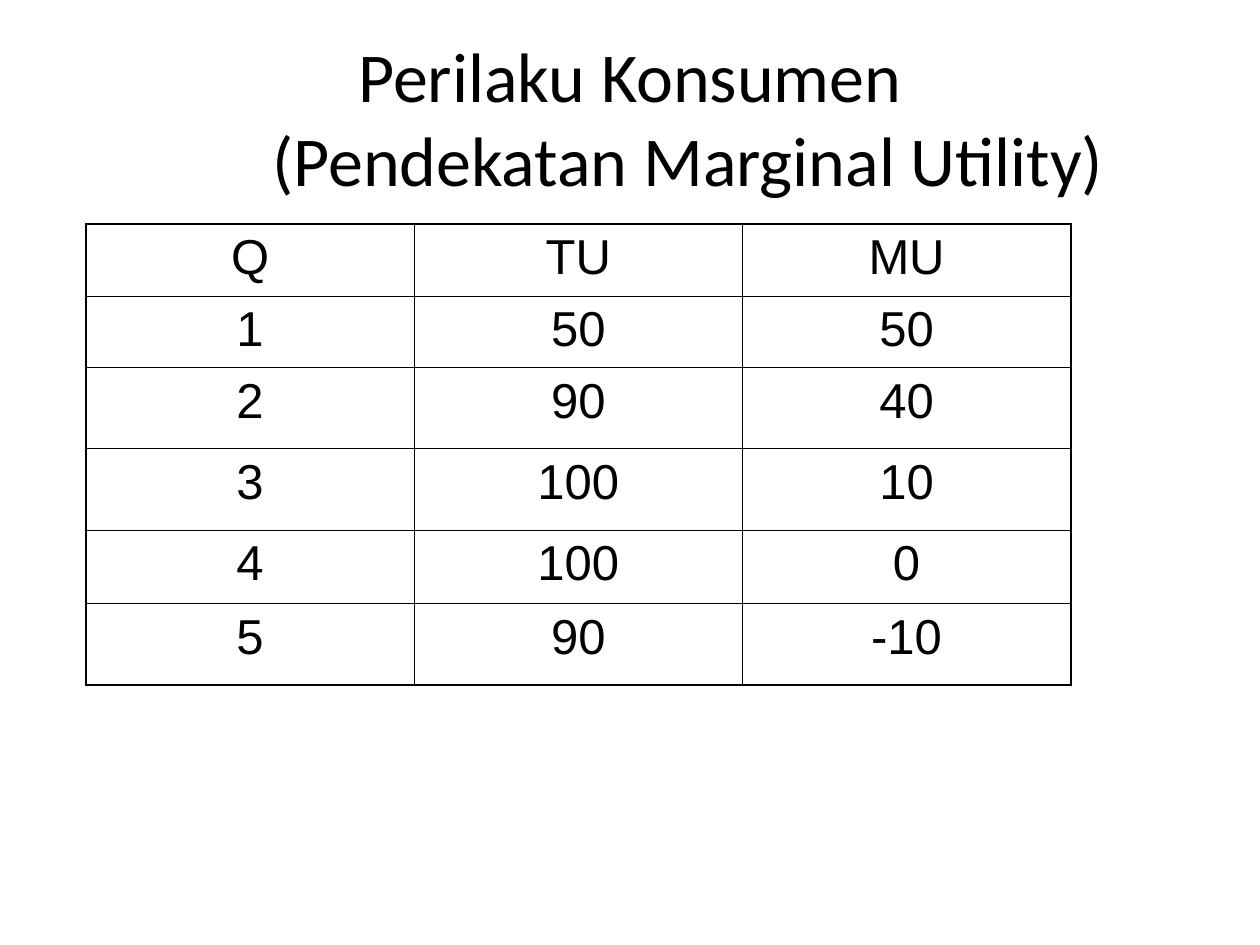
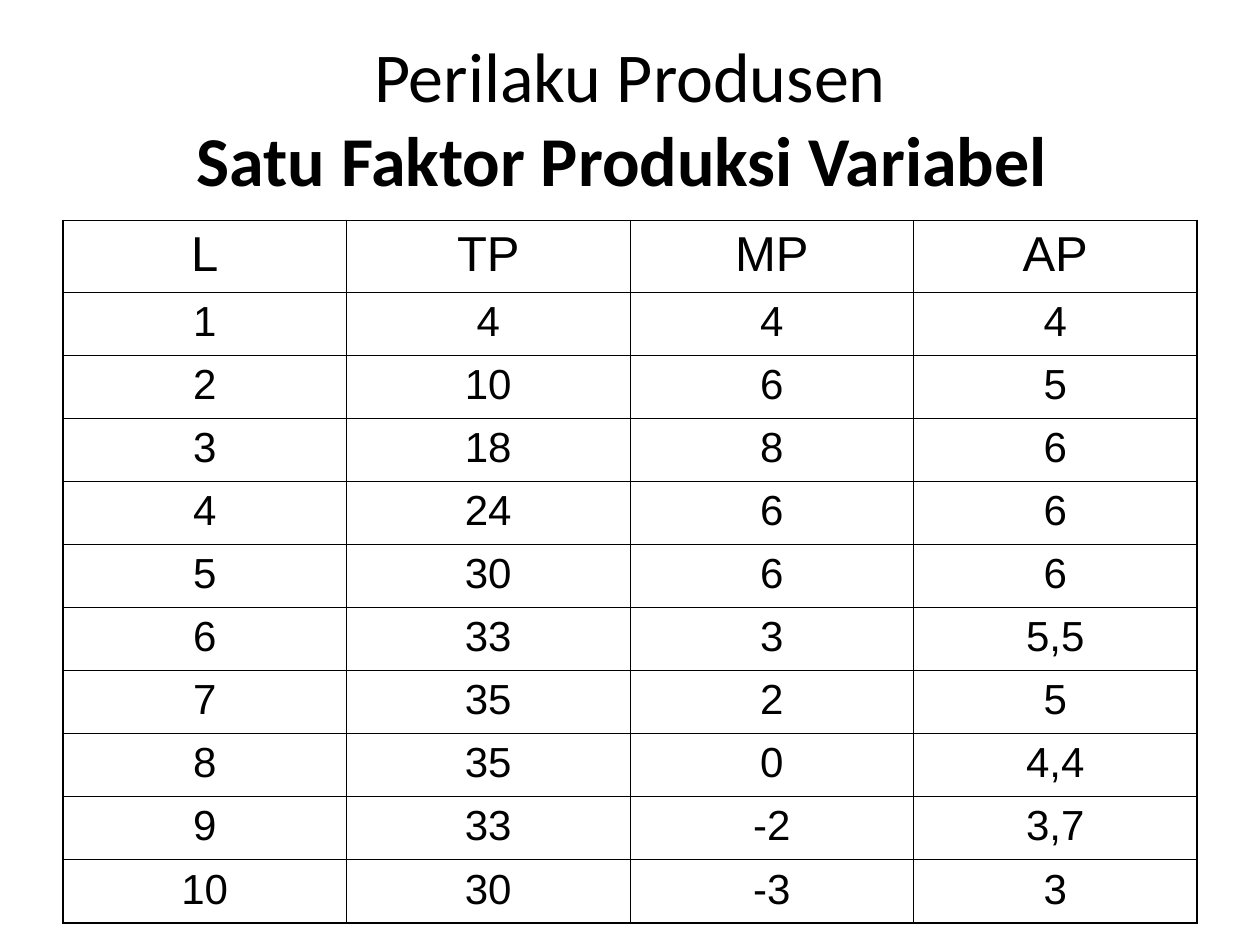
from lxml import etree
from pptx import Presentation
from pptx.dml.color import RGBColor
from pptx.enum import text
from pptx.oxml import ns
from pptx.util import Inches, Pt

BLACK = RGBColor(0x00, 0x00, 0x00)
THIN, THICK = 1.08 - 0.63, 1.08

SLIDES = [
    {
        "title": ("Perilaku Konsumen", "(Pendekatan Marginal Utility)"),
        "bold": False,
        "hanging": 0.92,
        "left": 0.68,
        "top": 1.78,
        "cols": [2.61, 2.6, 2.61],
        "heights": [0.57, 0.57, 0.64, 0.65, 0.58, 0.65],
        "body_size": 28,
        "rows": [
            ("Q", "TU", "MU"),
            ("1", "50", "50"),
            ("2", "90", "40"),
            ("3", "100", "10"),
            ("4", "100", "0"),
            ("5", "90", "-10"),
        ],
    },
    {
        "title": ("Perilaku Produsen", "Satu Faktor Produksi Variabel "),
        "bold": True,
        "hanging": 0,
        "left": 0.5,
        "top": 1.75,
        "cols": [2.25] * 4,
        "heights": [0.57] + [0.5] * 10,
        "body_size": 24,
        "rows": [
            ("L", "TP", "MP", "AP"),
            ("1", "4", "4", "4"),
            ("2", "10", "6", "5"),
            ("3", "18", "8", "6"),
            ("4", "24", "6", "6"),
            ("5", "30", "6", "6"),
            ("6", "33", "3", "5,5"),
            ("7", "35", "2", "5"),
            ("8", "35", "0", "4,4"),
            ("9", "33", "-2", "3,7"),
            ("10", "30", "-3", "3"),
        ],
    },
]


def style(p, font, size):
    p.alignment = text.PP_ALIGN.CENTER
    p.font.name = font
    p.font.size = Pt(size)
    p.font.color.rgb = BLACK


def add_border(cell, side, width):
    tc_pr = cell._tc.get_or_add_tcPr()
    ln = etree.SubElement(tc_pr, ns.qn("a:ln" + side), w=str(Pt(width)))
    fill = etree.SubElement(ln, ns.qn("a:solidFill"))
    etree.SubElement(fill, ns.qn("a:srgbClr"), val=str(BLACK))


prs = Presentation()
prs.slide_width, prs.slide_height = Inches(10), Inches(7.5)

for data in SLIDES:
    s = prs.slides.add_slide(prs.slide_layouts[6])

    tf = s.shapes.add_textbox(Inches(0.5), Inches(0.3), Inches(9), Inches(1.25)).text_frame
    tf.word_wrap = True
    tf.vertical_anchor = text.MSO_ANCHOR.MIDDLE
    p = tf.paragraphs[0]
    if data["hanging"]:
        p_pr = p._p.get_or_add_pPr()
        p_pr.set("marL", str(Inches(data["hanging"])))
        p_pr.set("indent", str(-Inches(data["hanging"])))
    style(p, "Calibri", 40)
    heading, subheading = data["title"]
    p.add_run().text = heading
    p.add_line_break()
    r = p.add_run()
    r.text = subheading
    r.font.bold = data["bold"]

    rows, cols, heights = data["rows"], data["cols"], data["heights"]
    table = s.shapes.add_table(
        len(rows), len(cols), Inches(data["left"]), Inches(data["top"]),
        Inches(sum(cols)), Inches(sum(heights))).table
    table.first_row = table.horz_banding = False
    for column, width in zip(table.columns, cols):
        column.width = Inches(width)
    for i, values in enumerate(rows):
        table.rows[i].height = Inches(heights[i])
        for j, value in enumerate(values):
            cell = table.cell(i, j)
            outer = {"L": j == 0, "R": j == len(cols) - 1,
                     "T": i == 0, "B": i == len(rows) - 1}
            for side, is_outer in outer.items():
                add_border(cell, side, THICK if is_outer else THIN)
            cell.fill.background()
            cell.text = value
            style(cell.text_frame.paragraphs[0], "Arial", data["body_size"] if i else 28)

prs.save("out.pptx")
